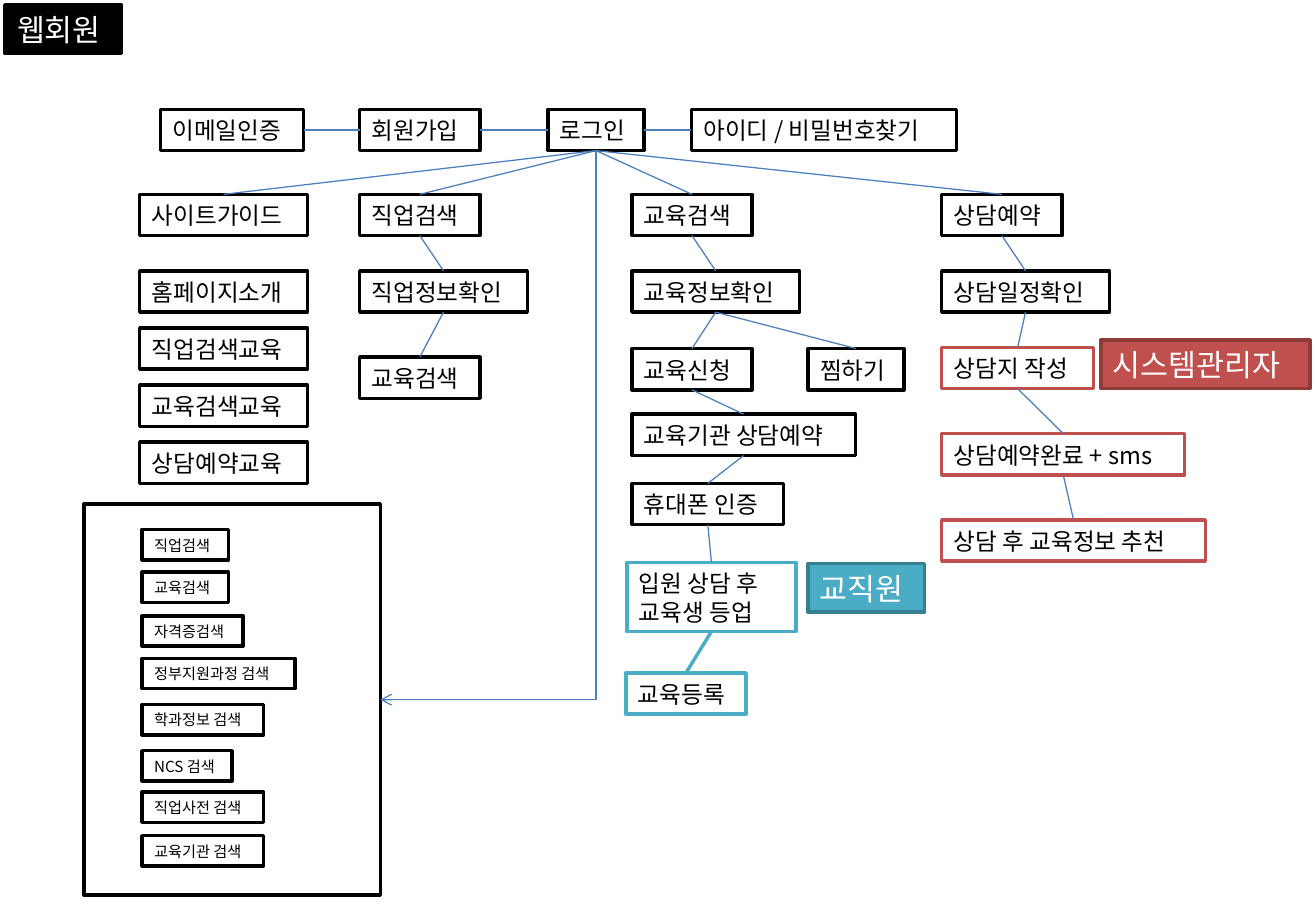
from dataclasses import dataclass

from lxml import etree
from pptx import Presentation
from pptx.dml.color import RGBColor
from pptx.enum.shapes import MSO_CONNECTOR, MSO_SHAPE
from pptx.enum.text import MSO_ANCHOR, MSO_AUTO_SIZE, PP_ALIGN
from pptx.oxml.ns import qn
from pptx.util import Inches, Pt

STRAIGHT, ELBOW = MSO_CONNECTOR.STRAIGHT, MSO_CONNECTOR.ELBOW
RECT = MSO_SHAPE.RECTANGLE
MIDDLE, LEFT = MSO_ANCHOR.MIDDLE, PP_ALIGN.LEFT
NO_FIT = MSO_AUTO_SIZE.NONE
TOP_SIDE, LEFT_SIDE, BOTTOM_SIDE, RIGHT_SIDE = range(4)


@dataclass(frozen=True)
class Theme:
    font: str = "Noto Sans CJK KR"
    black: str = "000000"
    white: str = "FFFFFF"
    red: str = "C0504D"
    dark_red: str = "8E3B39"
    teal: str = "4BACC6"
    dark_teal: str = "377F92"
    link: str = "4B7EBC"
    label: int = 18
    body: int = 14
    small: int = 9
    border: float = 2
    thin: float = 0.75
    leading: float = 1.23


T = Theme()

# Left edges of the columns, tops of the shared rows, box heights
GUIDE, JOB, EDU, RESERVE, SIDE = 1.15, 2.96, 5.2, 7.75, 6.65
ROW_LOGIN, ROW_MENU, ROW_INFO = 0.9, 1.6, 2.23
BOX_H, TWO_LINE_H, LABEL_H, SMALL_H = 0.34, 0.57, 0.4, 0.25
SEARCH_X = 1.17
FRAME = (0.69, 4.15, 2.44, 3.22)

TITLE = ("웹회원", 0.04, 0.04, 0.96)

# name: (text, left, top, width, border colour)
STEPS = {
    "email": ("이메일인증", 1.32, ROW_LOGIN, 1.18, T.black),
    "join": ("회원가입", JOB, ROW_LOGIN, 0.99, T.black),
    "login": ("로그인", 4.51, ROW_LOGIN, 0.79, T.black),
    "find_id": ("아이디 / 비밀번호찾기", 5.69, ROW_LOGIN, 2.18, T.black),
    "guide": ("사이트가이드", GUIDE, ROW_MENU, 1.38, T.black),
    "guide_home": ("홈페이지소개", GUIDE, ROW_INFO, 1.38, T.black),
    "guide_job": ("직업검색교육", GUIDE, 2.7, 1.38, T.black),
    "guide_edu": ("교육검색교육", GUIDE, 3.17, 1.38, T.black),
    "guide_reserve": ("상담예약교육", GUIDE, 3.64, 1.38, T.black),
    "job": ("직업검색", JOB, ROW_MENU, 0.99, T.black),
    "job_info": ("직업정보확인", JOB, ROW_INFO, 1.38, T.black),
    "job_edu": ("교육검색", JOB, 2.94, 0.99, T.black),
    "edu": ("교육검색", EDU, ROW_MENU, 0.99, T.black),
    "edu_info": ("교육정보확인", EDU, ROW_INFO, 1.38, T.black),
    "edu_apply": ("교육신청", EDU, 2.87, 0.99, T.black),
    "wish": ("찜하기", SIDE, 2.87, 0.79, T.black),
    "edu_reserve": ("교육기관 상담예약", EDU, 3.41, 1.84, T.black),
    "phone": ("휴대폰 인증", EDU, 3.98, 1.25, T.black),
    "upgrade": ("입원 상담 후\n교육생 등업", 5.16, 4.63, 1.39, T.teal),
    "enroll": ("교육등록", 5.15, 5.54, 0.99, T.teal),
    "reserve": ("상담예약", RESERVE, ROW_MENU, 0.99, T.black),
    "schedule": ("상담일정확인", RESERVE, ROW_INFO, 1.38, T.black),
    "form": ("상담지 작성", RESERVE, 2.86, 1.25, T.red),
    "reserved": ("상담예약완료 + sms", RESERVE, 3.57, 2.0, T.red),
    "recommend": ("상담 후 교육정보 추천", RESERVE, 4.28, 2.17, T.red),
}

# (text, left, top, width, fill, border)
ROLES = [
    ("교직원", SIDE, 4.64, 0.96, T.teal, T.dark_teal),
    ("시스템관리자", 9.06, 2.8, 1.72, T.red, T.dark_red),
]

# (text, top, width)
SEARCHES = [
    ("직업검색", 4.36, 0.71),
    ("교육검색", 4.71, 0.71),
    ("자격증검색", 5.07, 0.83),
    ("정부지원과정 검색", 5.42, 1.26),
    ("학과정보 검색", 5.8, 1.0),
    ("NCS 검색", 6.18, 0.74),
    ("직업사전 검색", 6.52, 1.0),
    ("교육기관 검색", 6.88, 1.0),
]

ACROSS = ["email", "join", "login", "find_id"]
DOWN = [
    ["login", "guide"],
    ["login", "job", "job_info", "job_edu"],
    ["login", "edu", "edu_info", "edu_apply", "edu_reserve", "phone", "upgrade"],
    ["edu_info", "wish"],
    ["login", "reserve", "schedule", "form", "reserved", "recommend"],
]


def rgb(value):
    return RGBColor.from_string(value)


def place(sp, left, top, width, height):
    sp.left, sp.top = Inches(left), Inches(top)
    sp.width, sp.height = Inches(width), Inches(height)


def outline(sp, color, width=T.border):
    sp.line.color.rgb = rgb(color)
    sp.line.width = Pt(width)


def write(sp, text, size=T.body, color=T.black, fill=T.white, border=T.black):
    """Fill and outline a box and set its text, one paragraph per line."""
    sp.fill.solid()
    sp.fill.fore_color.rgb = rgb(fill)
    outline(sp, border)
    tf = sp.text_frame
    tf.text = text
    tf.word_wrap = True
    tf.auto_size = NO_FIT
    tf.vertical_anchor = MIDDLE
    tf.margin_left = Inches(0.1)
    tf.margin_right = tf.margin_top = tf.margin_bottom = 0
    for p in tf.paragraphs:
        p.alignment = LEFT
        p.line_spacing = Pt(size * T.leading)
        for r in p.runs:
            r.font.name, r.font.size = T.font, Pt(size)
            r.font.color.rgb = rgb(color)
            ea = etree.SubElement(r.font._element, qn("a:ea"))
            ea.set("typeface", T.font)


def add_box(s, text, left, top, width, height=BOX_H, **style):
    sp = s.shapes.add_textbox(0, 0, 0, 0)
    place(sp, left, top, width, height)
    write(sp, text, **style)
    return sp


def connect(s, start, end, sides, color=T.link, width=T.thin, kind=STRAIGHT):
    c = s.shapes.add_connector(kind, 0, 0, 0, 0)
    c.begin_connect(start, sides[0])
    c.end_connect(end, sides[1])
    outline(c, color, width)
    etree.SubElement(c.element.spPr, qn("a:effectLst"))
    return c


def connect_down_then_left(s, start, end):
    """Arrow with one bend, as a two-segment connector turned by 90 degrees."""
    c = connect(s, start, end, (BOTTOM_SIDE, RIGHT_SIDE), kind=ELBOW)
    x1, y1, x2, y2 = c.begin_x, c.begin_y, c.end_x, c.end_y
    across, down = x1 - x2, y2 - y1
    c.left, c.top = (x1 + x2 - down) // 2, (y1 + y2 - across) // 2
    c.width, c.height = down, across
    pr = c.element.spPr
    xfrm = pr.find(qn("a:xfrm"))
    xfrm.attrib.pop("flipH", None)
    xfrm.set("rot", str(90 * 60000))
    pr.find(qn("a:prstGeom")).set("prst", "bentConnector2")
    etree.SubElement(pr.find(qn("a:ln")), qn("a:tailEnd")).set("type", "arrow")


def main():
    prs = Presentation()
    prs.slide_width, prs.slide_height = Inches(10.83), Inches(7.5)
    s = prs.slides.add_slide(prs.slide_layouts[5])

    text, *at = TITLE
    place(s.shapes.title, *at, LABEL_H)
    write(s.shapes.title, text, size=T.label, color=T.white, fill=T.black)

    boxes = {}
    for name, (text, left, top, width, border) in STEPS.items():
        height = TWO_LINE_H if "\n" in text else BOX_H
        boxes[name] = add_box(s, text, left, top, width, height, border=border)
    for text, left, top, width, fill, border in ROLES:
        add_box(s, text, left, top, width, LABEL_H, size=T.label,
                color=T.white, fill=fill, border=border)
    for text, top, width in SEARCHES:
        add_box(s, text, SEARCH_X, top, width, SMALL_H, size=T.small)

    frame = s.shapes.add_shape(RECT, 0, 0, 0, 0)
    place(frame, *FRAME)
    frame.shadow.inherit = False
    frame.fill.background()
    outline(frame, T.black)

    for a, b in zip(ACROSS, ACROSS[1:]):
        connect(s, boxes[a], boxes[b], (RIGHT_SIDE, LEFT_SIDE))
    for chain in DOWN:
        for a, b in zip(chain, chain[1:]):
            connect(s, boxes[a], boxes[b], (BOTTOM_SIDE, TOP_SIDE))
    connect(s, boxes["upgrade"], boxes["enroll"], (BOTTOM_SIDE, TOP_SIDE),
            color=T.teal, width=T.border)
    connect_down_then_left(s, boxes["login"], frame)

    prs.save("out.pptx")


if __name__ == "__main__":
    main()
